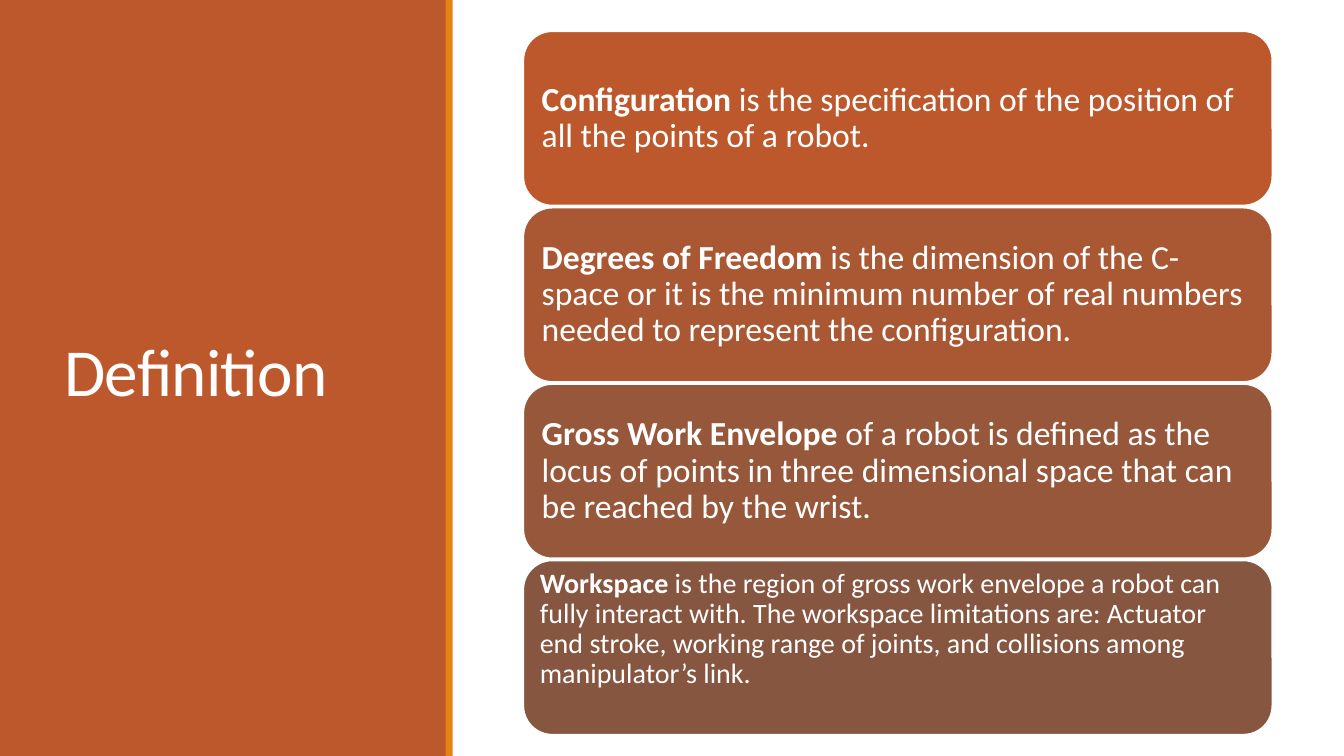
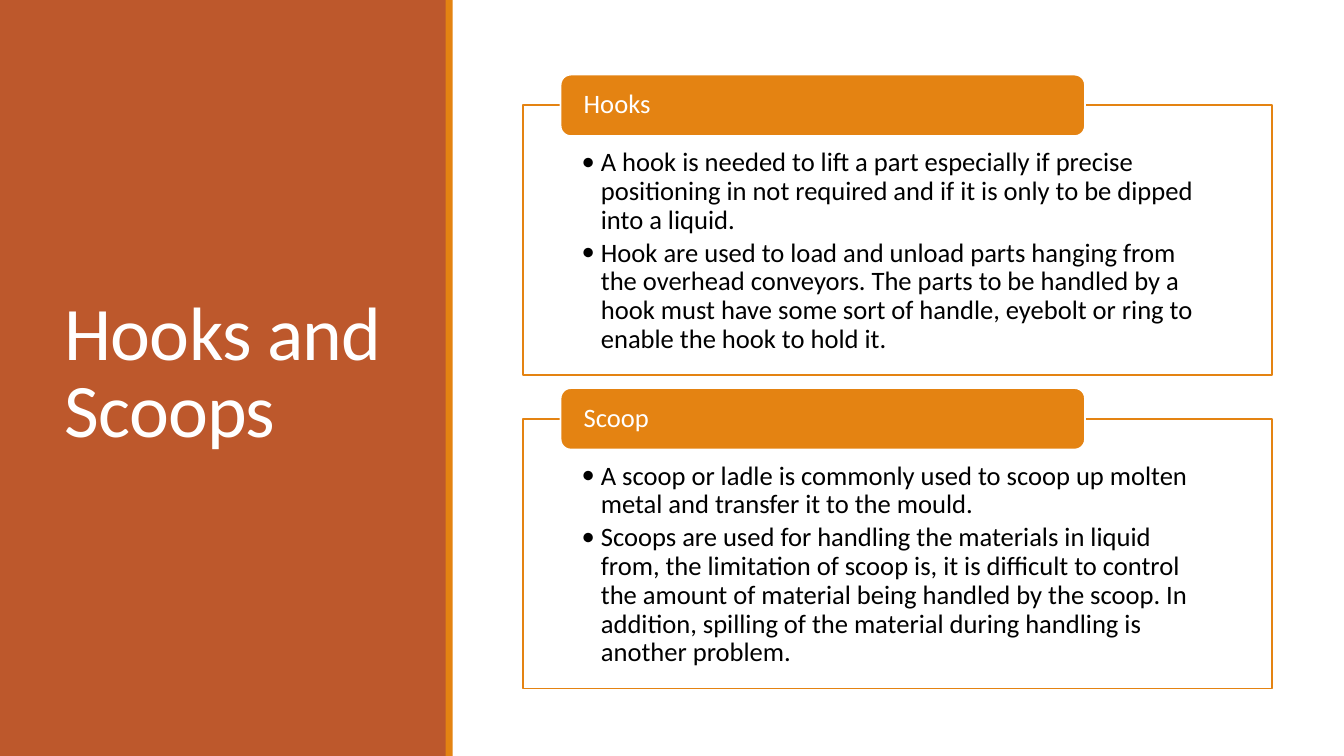
from lxml import etree
from pptx import Presentation
from pptx.dml.color import RGBColor
from pptx.enum import shapes, text
from pptx.oxml import ns
from pptx.util import Inches, Pt

RUST = RGBColor(0xBD, 0x58, 0x2C)
ORANGE = RGBColor(0xE4, 0x83, 0x12)
WHITE = RGBColor(0xFF, 0xFF, 0xFF)
BLACK = RGBColor(0x00, 0x00, 0x00)
CARD_FILLS = [RUST, RGBColor(0xAA, 0x58, 0x34),
              RGBColor(0x97, 0x57, 0x3A), RGBColor(0x86, 0x56, 0x40)]
FONT = "Calibri"
SLIDE_W, SLIDE_H = 13.33, 7.5
CONTENT_X, CONTENT_W = 5.19, 7.43
RECT = shapes.MSO_SHAPE.RECTANGLE
ROUNDED = shapes.MSO_SHAPE.ROUNDED_RECTANGLE
TOP, MIDDLE = text.MSO_ANCHOR.TOP, text.MSO_ANCHOR.MIDDLE

DEFINITIONS = [
    ("Configuration", " is the specification of the position of all the points of a robot."),
    ("Degrees of Freedom ", "is the dimension of the C-space or it is the minimum number of "
     "real numbers needed to represent the configuration."),
    ("Gross Work Envelope ", "of a robot is defined as the locus of points in three "
     "dimensional space that can be reached by the wrist."),
    ("Workspace", " is the region of gross work envelope a robot can fully interact with. "
     "The workspace limitations are: Actuator end stroke, working range of joints, and "
     "collisions among manipulator’s link."),
]
TOOLS = [
    ("Hooks", [
        "A hook is needed to lift a part especially if precise positioning in not required "
        "and if it is only to be dipped into a liquid.",
        "Hook are used to load and unload parts hanging from the overhead conveyors. The "
        "parts to be handled by a hook must have some sort of handle, eyebolt or ring to "
        "enable the hook to hold it."]),
    ("Scoop", [
        "A scoop or ladle is commonly used to scoop up molten metal and transfer it to the "
        "mould.",
        "Scoops are used for handling the materials in liquid from, the limitation of scoop "
        "is, it is difficult to control the amount of material being handled by the scoop. "
        "In addition, spilling of the material during handling is another problem."]),
]


def add_box(slide, kind, x, y, w, h, fill, line=None):
    box = slide.shapes.add_shape(kind, Inches(x), Inches(y), Inches(w), Inches(h))
    box.shadow.inherit = False
    box.fill.solid()
    box.fill.fore_color.rgb = fill
    if line is None:
        box.line.fill.background()
    else:
        box.line.color.rgb = line
        box.line.width = Pt(1.25)
    return box


def add_bullet(paragraph):
    properties = paragraph._p.get_or_add_pPr()
    properties.set("marL", str(Inches(0.19)))
    properties.set("indent", str(-Inches(0.19)))
    etree.SubElement(properties, ns.qn("a:buFont")).set("typeface", FONT)
    etree.SubElement(properties, ns.qn("a:buChar")).set("char", "•")


def write(box, paragraphs, size, color=WHITE, insets=(0.1, 0.1, 0.1, 0.1), anchor=MIDDLE,
          spacing=0.9, after=0, tracking=None, bullets=False, bold_lead=False):
    frame = box.text_frame
    frame.word_wrap = True
    frame.vertical_anchor = anchor
    (frame.margin_left, frame.margin_top,
     frame.margin_right, frame.margin_bottom) = map(Inches, insets)
    for index, parts in enumerate(paragraphs):
        paragraph = frame.add_paragraph() if index else frame.paragraphs[0]
        paragraph.alignment = text.PP_ALIGN.LEFT
        paragraph.line_spacing = spacing
        paragraph.space_after = Pt(after)
        if bullets:
            add_bullet(paragraph)
        for position, words in enumerate(parts):
            run = paragraph.add_run()
            run.text = words
            run.font.name = FONT
            run.font.size = Pt(size)
            run.font.color.rgb = color
            run.font.bold = bold_lead and position == 0
            if tracking is not None:
                run._r.get_or_add_rPr().set("spc", str(int(tracking * 100)))


def add_titled_slide(deck, heading, size):
    slide = deck.slides.add_slide(deck.slide_layouts[6])
    slide.background.fill.solid()
    slide.background.fill.fore_color.rgb = WHITE
    add_box(slide, RECT, 0, 0, 4.43, SLIDE_H, RUST)
    title = slide.shapes.add_textbox(Inches(0.54), Inches(0.57), Inches(3.37), Inches(6.31))
    write(title, [[heading]], size, insets=(0.1, 0.05, 0.1, 0.05),
          spacing=0.85, tracking=-0.5)
    add_box(slide, RECT, 4.42, 0, 0.07, SLIDE_H, ORANGE)
    return slide


def add_definition_cards(slide, x, y, w, h, gap=0.02):
    card_h = (h - gap * (len(DEFINITIONS) - 1)) / len(DEFINITIONS)
    for index, (definition, fill) in enumerate(zip(DEFINITIONS, CARD_FILLS)):
        card = add_box(slide, ROUNDED, x, y + index * (card_h + gap), w, card_h, fill, WHITE)
        if index < len(DEFINITIONS) - 1:
            write(card, [definition], 24, bold_lead=True)
        else:
            write(card, [definition], 20, insets=(0.08, 0, 0.08, 0), anchor=TOP,
                  bold_lead=True)


def add_tool_panel(slide, x, y, w, h, name, points):
    tab_h = 0.61
    panel = add_box(slide, RECT, x, y + tab_h / 2, w, h - tab_h / 2, WHITE, ORANGE)
    write(panel, [[point] for point in points], 19, BLACK,
          insets=(0.58, 0.43, 0.58, 0.15), anchor=TOP, after=3, bullets=True)
    tab = add_box(slide, ROUNDED, x + 0.37, y, w * 0.7, tab_h, ORANGE, WHITE)
    write(tab, [[name]], 19, insets=(0.2, 0, 0.2, 0))


def main():
    deck = Presentation()
    deck.slide_width, deck.slide_height = Inches(SLIDE_W), Inches(SLIDE_H)

    definition_slide = add_titled_slide(deck, "Definition", 48)
    add_definition_cards(definition_slide, CONTENT_X, 0.31, CONTENT_W, 6.98)

    tools_slide = add_titled_slide(deck, "Hooks and Scoops", 54)
    for index, (name, points) in enumerate(TOOLS):
        add_tool_panel(tools_slide, CONTENT_X, 0.74 + index * 3.11, CONTENT_W, 2.98,
                       name, points)

    deck.save("out.pptx")


if __name__ == "__main__":
    main()
